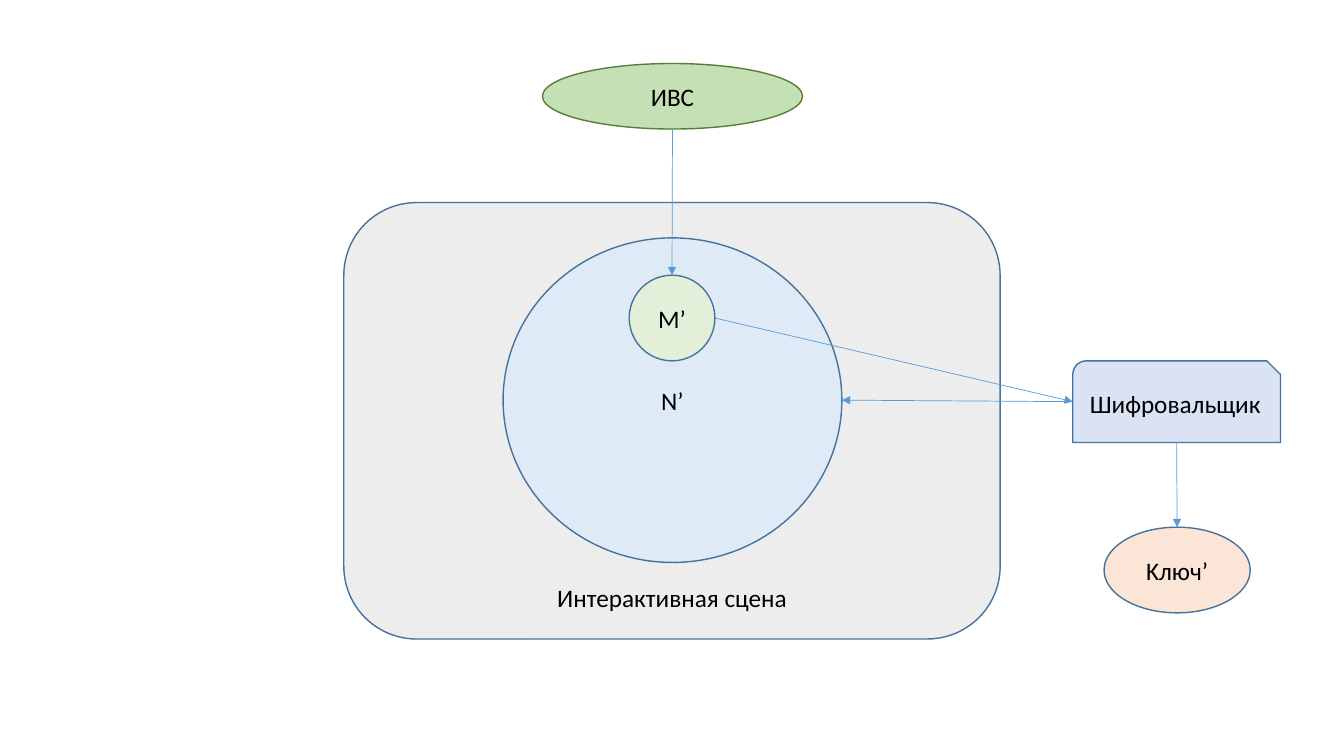
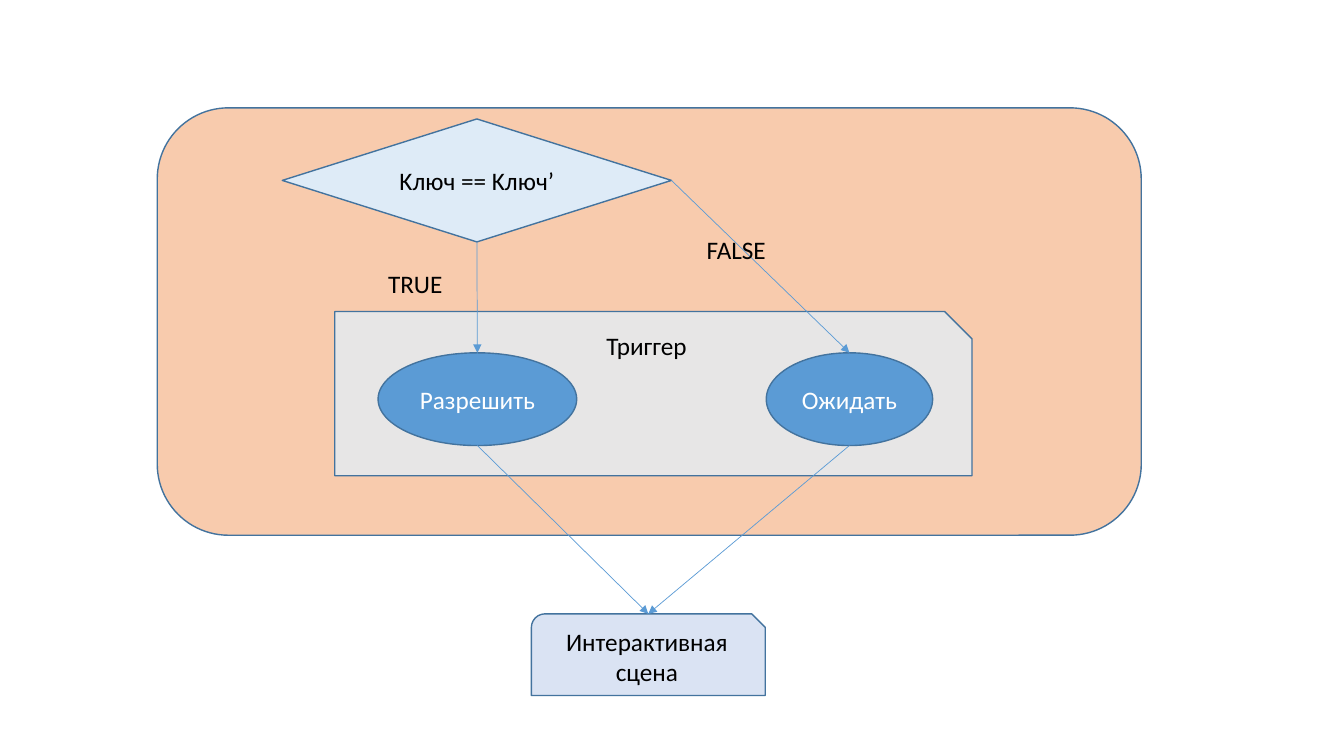
import pptx
import pptx.dml.color
import pptx.enum.shapes
import pptx.enum.text
import pptx.oxml
import pptx.oxml.ns
import pptx.util

RGBColor = pptx.dml.color.RGBColor
Inches = pptx.util.Inches
Pt = pptx.util.Pt
Shape = pptx.enum.shapes.MSO_SHAPE
Anchor = pptx.enum.text.MSO_ANCHOR
Align = pptx.enum.text.PP_ALIGN

BLACK = RGBColor(0x00, 0x00, 0x00)
WHITE = RGBColor(0xFF, 0xFF, 0xFF)
OUTLINE = RGBColor(0x43, 0x73, 0x9E)
BLUE = RGBColor(0x5B, 0x9B, 0xD5)
PALE_BLUE = RGBColor(0xDE, 0xEB, 0xF7)
LAVENDER = RGBColor(0xDA, 0xE3, 0xF3)
PALE_GREEN = RGBColor(0xE2, 0xF0, 0xD9)
GREEN = RGBColor(0xC5, 0xE0, 0xB4)
DARK_GREEN = RGBColor(0x53, 0x80, 0x35)
PALE_ORANGE = RGBColor(0xFB, 0xE5, 0xD6)
ORANGE = RGBColor(0xF8, 0xCB, 0xAD)
PALE_GRAY = RGBColor(0xED, 0xED, 0xED)
GRAY = RGBColor(0xE7, 0xE6, 0xE6)


class Diagram:
    font_name = "Calibri"
    font_size = Pt(18)

    def __init__(self, presentation):
        self.presentation = presentation
        self.slide = None

    def new_slide(self):
        self.slide = self.presentation.slides.add_slide(self.presentation.slide_layouts[6])

    def add_text(self, shape, text, color, align):
        paragraph = shape.text_frame.paragraphs[0]
        paragraph.alignment = align
        run = paragraph.add_run()
        run.text = text
        run.font.name = self.font_name
        run.font.size = self.font_size
        run.font.color.rgb = color

    def node(self, kind, box, fill, text="", color=BLACK, line=OUTLINE, anchor=Anchor.MIDDLE):
        shape = self.slide.shapes.add_shape(kind, *map(Inches, box))
        shape.shadow.inherit = False
        shape.fill.solid()
        shape.fill.fore_color.rgb = fill
        shape.line.color.rgb = line
        shape.line.width = Pt(1)
        shape.text_frame.word_wrap = True
        shape.text_frame.vertical_anchor = anchor
        if text:
            self.add_text(shape, text, color, Align.CENTER)
        return shape

    def label(self, left, top, text):
        shape = self.slide.shapes.add_textbox(Inches(left), Inches(top), Inches(0.88), Inches(0.4))
        shape.text_frame.word_wrap = True
        shape.text_frame.auto_size = pptx.enum.text.MSO_AUTO_SIZE.SHAPE_TO_FIT_TEXT
        self.add_text(shape, text, BLACK, Align.LEFT)

    def edge(self, shape, side):
        across, down = {"top": (1, 0), "left": (0, 1), "bottom": (1, 2), "right": (2, 1)}[side]
        return shape.left + shape.width * across // 2, shape.top + shape.height * down // 2

    def arrow(self, source, source_side, target, target_side):
        connector = self.slide.shapes.add_connector(
            pptx.enum.shapes.MSO_CONNECTOR.STRAIGHT,
            *self.edge(source, source_side),
            *self.edge(target, target_side),
        )
        connector.line.color.rgb = BLUE
        connector.line.width = Pt(0.5)
        namespace = pptx.oxml.ns.nsdecls("a")
        line = connector.element.spPr.find(pptx.oxml.ns.qn("a:ln"))
        line.append(pptx.oxml.parse_xml(f'<a:tailEnd {namespace} type="triangle"/>'))
        line.addnext(pptx.oxml.parse_xml(f"<a:effectLst {namespace}/>"))


def build_encryption(diagram):
    diagram.new_slide()
    diagram.node(Shape.ROUNDED_RECTANGLE, (3.41, 2.01, 6.51, 4.33), PALE_GRAY,
                 "Интерактивная сцена", anchor=Anchor.BOTTOM)
    outer_set = diagram.node(Shape.FLOWCHART_CONNECTOR, (4.99, 2.36, 3.36, 3.22), PALE_BLUE, "N’")
    inner_set = diagram.node(Shape.FLOWCHART_CONNECTOR, (6.24, 2.73, 0.85, 0.85), PALE_GREEN, "M’")
    system = diagram.node(Shape.OVAL, (5.38, 0.63, 2.58, 0.65), GREEN, "ИВС", line=DARK_GREEN)
    diagram.arrow(system, "bottom", inner_set, "top")
    encryptor = diagram.node(Shape.SNIP_ROUND_RECTANGLE, (10.64, 3.58, 2.06, 0.81), LAVENDER,
                             "Шифровальщик")
    diagram.arrow(inner_set, "right", encryptor, "left")
    diagram.arrow(encryptor, "left", outer_set, "right")
    key = diagram.node(Shape.FLOWCHART_CONNECTOR, (10.95, 5.23, 1.45, 0.85), PALE_ORANGE, "Kлюч’")
    diagram.arrow(encryptor, "bottom", key, "top")


def build_trigger(diagram):
    diagram.new_slide()
    diagram.node(Shape.ROUNDED_RECTANGLE, (1.56, 1.07, 9.76, 4.24), ORANGE)
    scene = diagram.node(Shape.SNIP_ROUND_RECTANGLE, (5.27, 6.09, 2.32, 0.81), LAVENDER,
                         "Интерактивная сцена")
    check = diagram.node(Shape.DIAMOND, (2.8, 1.18, 3.86, 1.22), PALE_BLUE, "Kлюч == Kлюч’")
    diagram.node(Shape.SNIP_1_RECTANGLE, (3.32, 3.09, 6.32, 1.63), GRAY, "Триггер",
                 anchor=Anchor.TOP)
    allow = diagram.node(Shape.OVAL, (3.75, 3.5, 1.97, 0.92), BLUE, "Разрешить", WHITE)
    wait = diagram.node(Shape.OVAL, (7.6, 3.5, 1.65, 0.92), BLUE, "Ожидать", WHITE)
    diagram.arrow(check, "right", wait, "top")
    diagram.arrow(check, "bottom", allow, "top")
    diagram.label(3.75, 2.61, "TRUE")
    diagram.label(6.91, 2.28, "FALSE")
    for action in (allow, wait):
        diagram.arrow(action, "bottom", scene, "top")


presentation = pptx.Presentation()
presentation.slide_width = Inches(13.33)
presentation.slide_height = Inches(7.5)
diagram = Diagram(presentation)
build_encryption(diagram)
build_trigger(diagram)
presentation.save("out.pptx")
